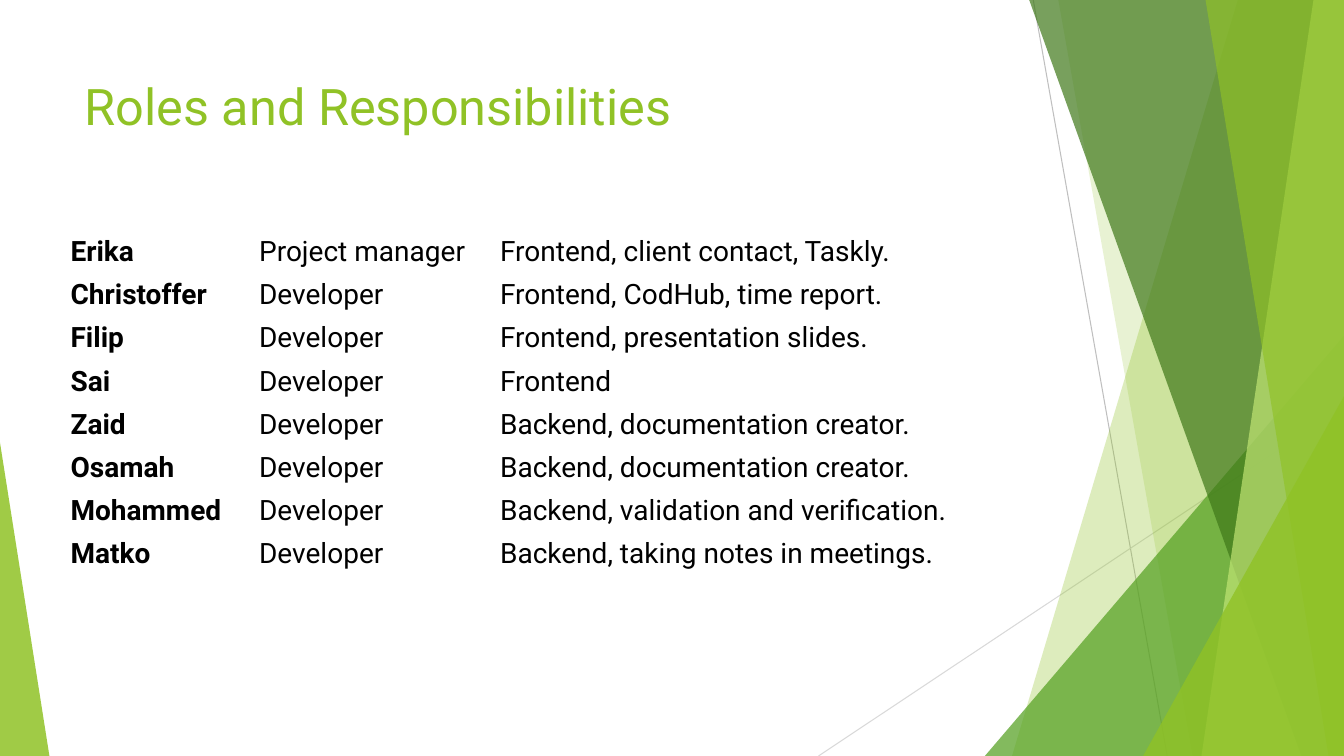
from lxml import etree
from pptx import Presentation
from pptx import util as u
from pptx.dml.color import RGBColor
from pptx.enum import shapes, text
from pptx.oxml.ns import qn

FONT = "Roboto"
COLORS = {
    "lime": "90C226", "green": "54A021", "forest": "3F7819", "pale": "C0E474",
    "grey": "BFBFBF", "light_grey": "D9D9D9", "black": "000000",
}
PLAIN_TABLE_STYLE = "{2D5ABB26-0587-4C30-8999-92F81FD0307C}"
WIDTH, HEIGHT = u.Inches(13.333), u.Inches(7.5)

TEAM = [
    ("Erika", "Project manager", "Frontend, client contact, Taskly."),
    ("Christoffer", "Developer", "Frontend, CodHub, time report."),
    ("Filip", "Developer", "Frontend, presentation slides."),
    ("Sai", "Developer", "Frontend"),
    ("Zaid", "Developer", "Backend, documentation creator."),
    ("Osamah", "Developer", "Backend, documentation creator."),
    ("Mohammed", "Developer", "Backend, validation and verification."),
    ("Matko", "Developer", "Backend, taking notes in meetings."),
]


# Lengths are percentages of the slide's width and height
def across(share):
    return u.Emu(round(WIDTH * share / 100))


def down(share):
    return u.Emu(round(HEIGHT * share / 100))


def paint(shape, color, opacity):
    shape.shadow.inherit = False
    shape.line.fill.background()
    shape.fill.solid()
    shape.fill.fore_color.rgb = RGBColor.from_string(COLORS[color])
    tint = shape.fill._xPr.find(qn("a:solidFill"))[0]
    etree.SubElement(tint, qn("a:alpha"), val=str(opacity * 1000))


def add_ray(slide, start, end, color):
    ray = slide.shapes.add_connector(
        shapes.MSO_CONNECTOR.STRAIGHT,
        across(start[0]), down(start[1]), across(end[0]), down(end[1]))
    ray.line.color.rgb = RGBColor.from_string(COLORS[color])
    ray.line.width = u.Pt(0.75)
    etree.SubElement(ray._element.spPr, qn("a:effectLst"))


def add_facet(slide, top_x, bottom_x, color, opacity):
    """Full-height band from a slanted left edge to the slide's right edge."""
    outline = slide.shapes.build_freeform(across(top_x), 0)
    outline.add_line_segments(
        [(WIDTH, 0), (WIDTH, HEIGHT), (across(bottom_x), HEIGHT)], close=True)
    paint(outline.convert_to_shape(), color, opacity)


def add_corner(slide, left, right, top, apex, color, opacity):
    """Triangle standing on the slide's bottom edge."""
    corner = slide.shapes.add_shape(
        shapes.MSO_SHAPE.ISOSCELES_TRIANGLE, across(left), down(top),
        across(right - left), down(100 - top))
    corner.adjustments[0] = apex
    paint(corner, color, opacity)


def format_run(run, size, color, bold=False):
    run.font.name = FONT
    run.font.size = u.Pt(size)
    run.font.bold = bold
    run.font.color.rgb = RGBColor.from_string(COLORS[color])


def set_title(slide, heading):
    title = slide.shapes.title
    slide.shapes._spTree.append(title._element)  # in front of the decoration
    title.left, title.top = across(5.55), down(8.93)
    title.width, title.height = across(70.5), down(19.2)
    frame = title.text_frame
    frame.text = heading
    frame.word_wrap = True
    frame.auto_size = text.MSO_AUTO_SIZE.NONE
    frame.vertical_anchor = text.MSO_ANCHOR.TOP
    frame.margin_top = u.Inches(0.08)
    frame.paragraphs[0].alignment = text.PP_ALIGN.LEFT
    format_run(frame.paragraphs[0].runs[0], 36, "lime")


def add_team_table(slide, column_shares, row_share):
    frame = slide.shapes.add_table(
        len(TEAM), len(column_shares), across(4.5), down(30.53),
        across(sum(column_shares)), down(row_share * len(TEAM)))
    roles = frame.table
    roles.first_row = roles.horz_banding = False
    roles._tbl.tblPr.find(qn("a:tableStyleId")).text = PLAIN_TABLE_STYLE
    for column, share in zip(roles.columns, column_shares):
        column.width = across(share)
    for row, member in zip(roles.rows, TEAM):
        row.height = down(row_share)
        for index, (cell, entry) in enumerate(zip(row.cells, member)):
            cell.text_frame.text = entry
            cell.fill.background()
            format_run(cell.text_frame.paragraphs[0].runs[0], 20, "black",
                       bold=index == 0)


def add_decoration(slide):
    add_ray(slide, (76.88, 0), (86.85, 100), "grey")
    add_ray(slide, (100, 53.73), (60.9, 100), "light_grey")
    add_facet(slide, 92.1, 75.3, "lime", 30)
    add_facet(slide, 78.75, 88.73, "lime", 20)
    add_corner(slide, 73.28, 100, 44.4, 1, "green", 72)
    add_facet(slide, 76.58, 96.83, "forest", 70)
    add_facet(slide, 97.73, 89.4, "pale", 70)
    add_facet(slide, 89.7, 98.85, "lime", 65)
    add_corner(slide, 85.05, 100, 52.4, 1, "lime", 80)
    add_corner(slide, 0, 3.68, 58.53, 0, "lime", 85)


def main():
    deck = Presentation()
    deck.slide_width, deck.slide_height = WIDTH, HEIGHT
    slide = deck.slides.add_slide(deck.slide_layouts.get_by_name("Title Only"))
    add_decoration(slide)
    set_title(slide, "Roles and Responsibilities")
    add_team_table(slide, (14.03, 17.93, 48.98), 5.47)
    deck.save("out.pptx")


if __name__ == "__main__":
    main()
